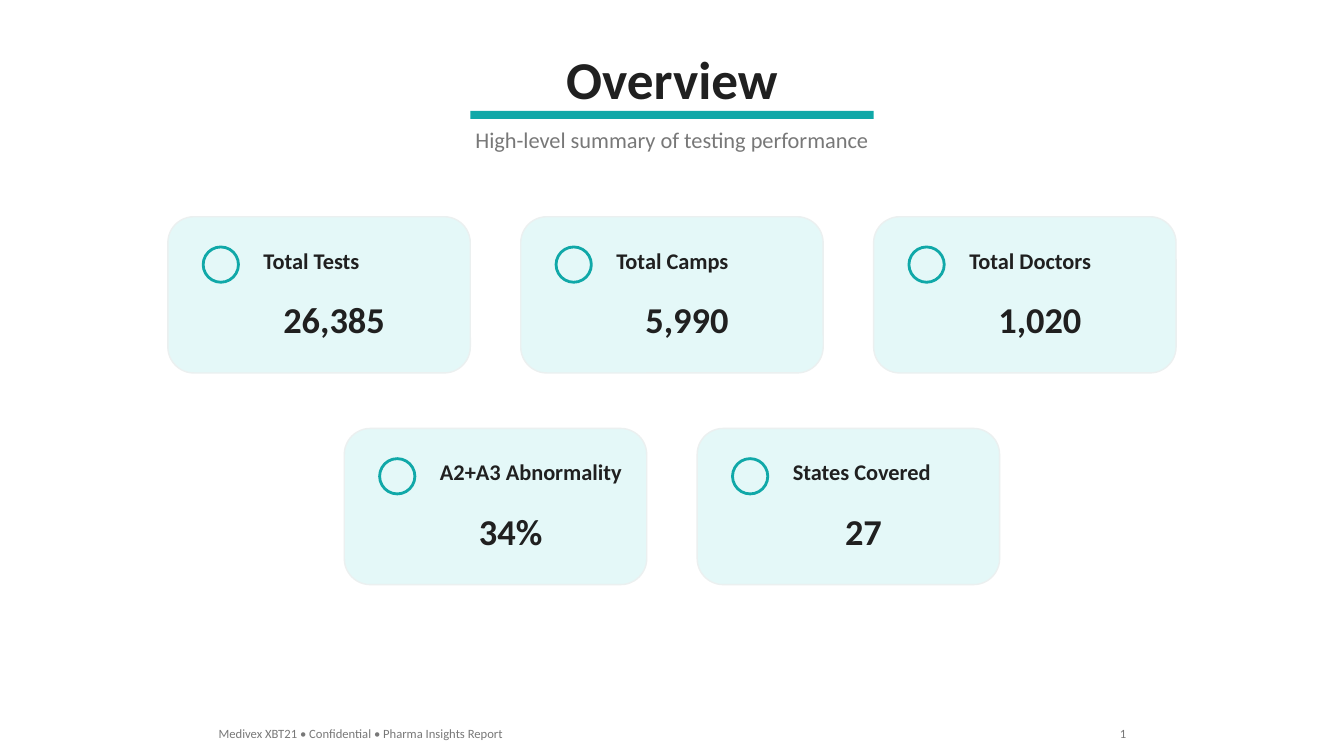
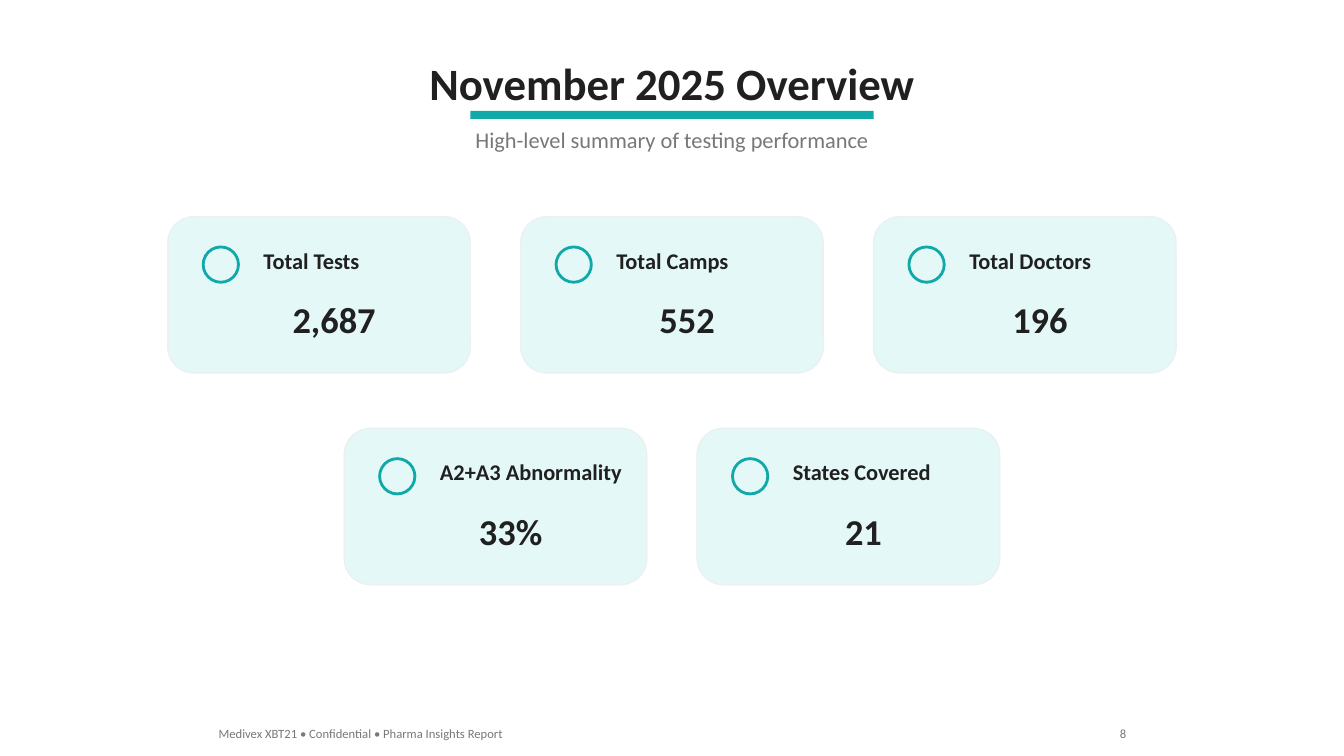
import pptx
import pptx.util
import pptx.dml.color
import pptx.enum.shapes
import pptx.enum.text

Inches = pptx.util.Inches
Pt = pptx.util.Pt
Shape = pptx.enum.shapes.MSO_SHAPE
Align = pptx.enum.text.PP_ALIGN
Anchor = pptx.enum.text.MSO_ANCHOR

SUBTITLE = "High-level summary of testing performance"
FOOTER = "Medivex XBT21 • Confidential • Pharma Insights Report"
METRIC_ROWS = [
    ["Total Tests", "Total Camps", "Total Doctors"],
    ["A2+A3 Abnormality", "States Covered"],
]
OVERVIEWS = [
    {"title": "Overview", "title_size": 38, "page": "1",
     "values": [["26,385", "5,990", "1,020"], ["34%", "27"]]},
    {"title": "November 2025 Overview", "title_size": 32, "page": "8",
     "values": [["2,687", "552", "196"], ["33%", "21"]]},
]

COLORS = {"ink": "202020", "muted": "787878", "accent": "10A8A8",
          "card": "E4F8F8", "border": "EBF0F0"}
STYLES = {
    "title": {"bold": True, "color": "ink", "align": Align.CENTER},
    "subtitle": {"size": 16, "color": "muted", "align": Align.CENTER},
    "label": {"size": 16, "bold": True, "color": "ink", "align": Align.LEFT},
    "value": {"size": 26, "bold": True, "color": "ink", "align": Align.CENTER},
    "footer": {"size": 9, "color": "muted", "align": Align.LEFT},
    "page": {"size": 9, "color": "muted", "align": Align.RIGHT},
}

SLIDE_W, SLIDE_H = 13.33, 7.5
CARD_W, CARD_H = 3, 1.55
CARD_GAP, ROW_STEP, FIRST_ROW = 0.5, 2.1, 2.15


def rgb(name):
    return pptx.dml.color.RGBColor.from_string(COLORS[name])


def add_text(slide, text, style, left, top, width, height, size=None):
    look = STYLES[style]
    frame = slide.shapes.add_textbox(
        Inches(left), Inches(top), Inches(width), Inches(height)).text_frame
    frame.word_wrap = True
    frame.vertical_anchor = Anchor.BOTTOM if style == "title" else Anchor.TOP
    paragraph = frame.paragraphs[0]
    paragraph.alignment = look["align"]
    run = paragraph.add_run()
    run.text = text
    formats = {"name": "Calibri", "size": Pt(size or look["size"]),
               "bold": look.get("bold", False)}
    for attribute, value in formats.items():
        setattr(run.font, attribute, value)
    run.font.color.rgb = rgb(look["color"])


def add_figure(slide, kind, left, top, width, height, fill=None, line=None, weight=1):
    figure = slide.shapes.add_shape(
        kind, Inches(left), Inches(top), Inches(width), Inches(height))
    figure.shadow.inherit = False
    if fill:
        figure.fill.solid()
        figure.fill.fore_color.rgb = rgb(fill)
    else:
        figure.fill.background()
    if line:
        figure.line.color.rgb = rgb(line)
        figure.line.width = Pt(weight)
    else:
        figure.line.fill.background()


def add_frame(slide, overview):
    center = SLIDE_W / 2
    add_text(slide, overview["title"], "title", center - 4, 0.4, 8, 0.74,
             overview["title_size"])
    add_figure(slide, Shape.RECTANGLE, center - 2, 1.1, 4, 0.08, fill="accent")
    add_text(slide, SUBTITLE, "subtitle", center - 3, 1.2, 6, 0.37)
    add_text(slide, FOOTER, "footer", 2.07, 7.15, 4, 0.25)
    add_text(slide, overview["page"], "page", 10.27, 7.15, 1, 0.25)


def add_card(slide, label, value, left, top):
    add_figure(slide, Shape.ROUNDED_RECTANGLE, left, top, CARD_W, CARD_H,
               fill="card", line="border")
    add_figure(slide, Shape.OVAL, left + 0.35, top + 0.3, 0.35, 0.35,
               line="accent", weight=2)
    add_text(slide, label, "label", left + 0.85, top + 0.25, 2.15, 0.37)
    add_text(slide, value, "value", left + 0.5, top + 0.75, 2.3, 0.54)


def add_cards(slide, value_rows):
    for row, (labels, values) in enumerate(zip(METRIC_ROWS, value_rows)):
        row_width = len(labels) * (CARD_W + CARD_GAP) - CARD_GAP
        row_left = (SLIDE_W - row_width) / 2
        for column, (label, value) in enumerate(zip(labels, values)):
            add_card(slide, label, value,
                     row_left + column * (CARD_W + CARD_GAP),
                     FIRST_ROW + row * ROW_STEP)


def main():
    deck = pptx.Presentation()
    deck.slide_width, deck.slide_height = Inches(SLIDE_W), Inches(SLIDE_H)
    for overview in OVERVIEWS:
        slide = deck.slides.add_slide(deck.slide_layouts[6])
        add_frame(slide, overview)
        add_cards(slide, overview["values"])
    deck.save("out.pptx")


if __name__ == "__main__":
    main()
